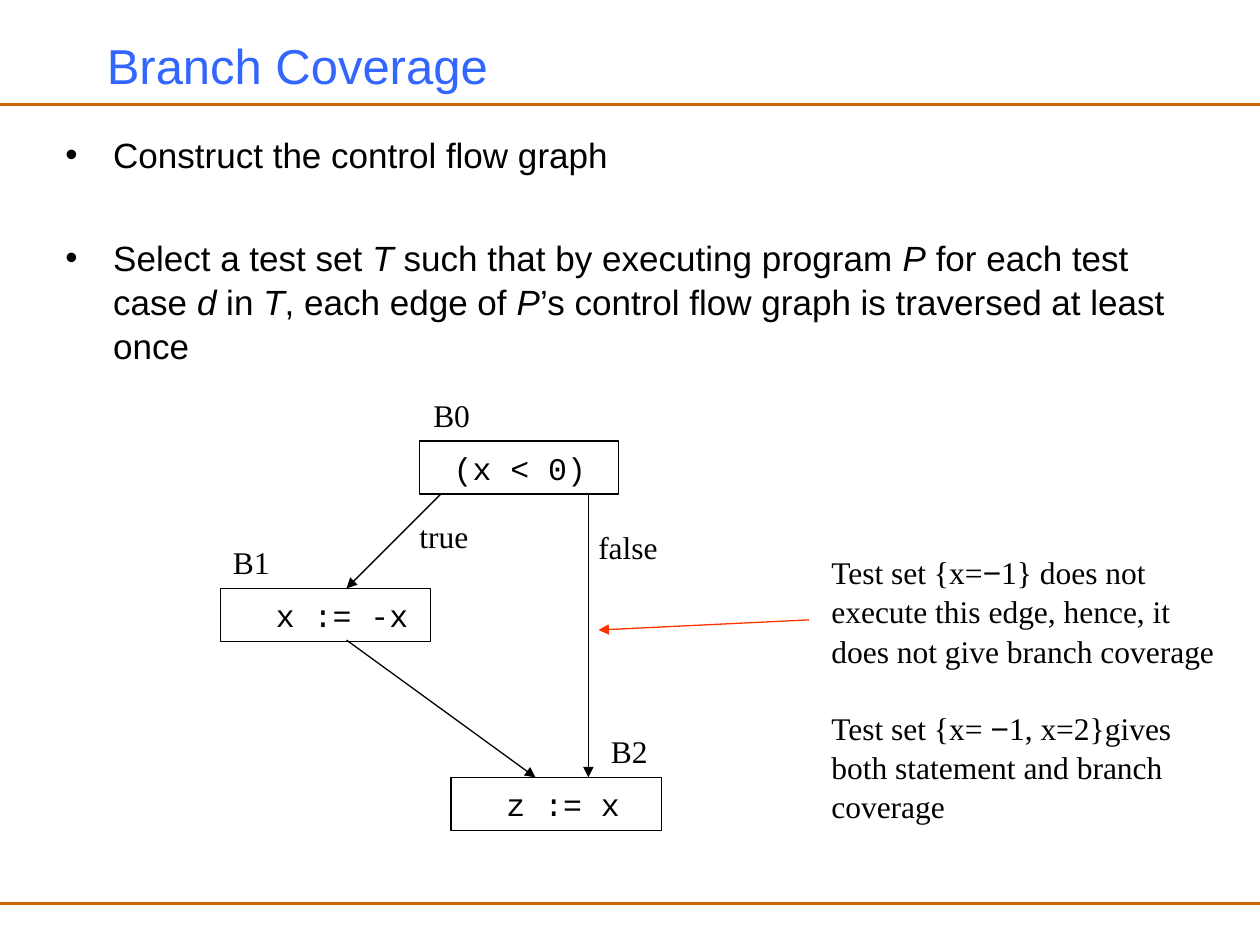
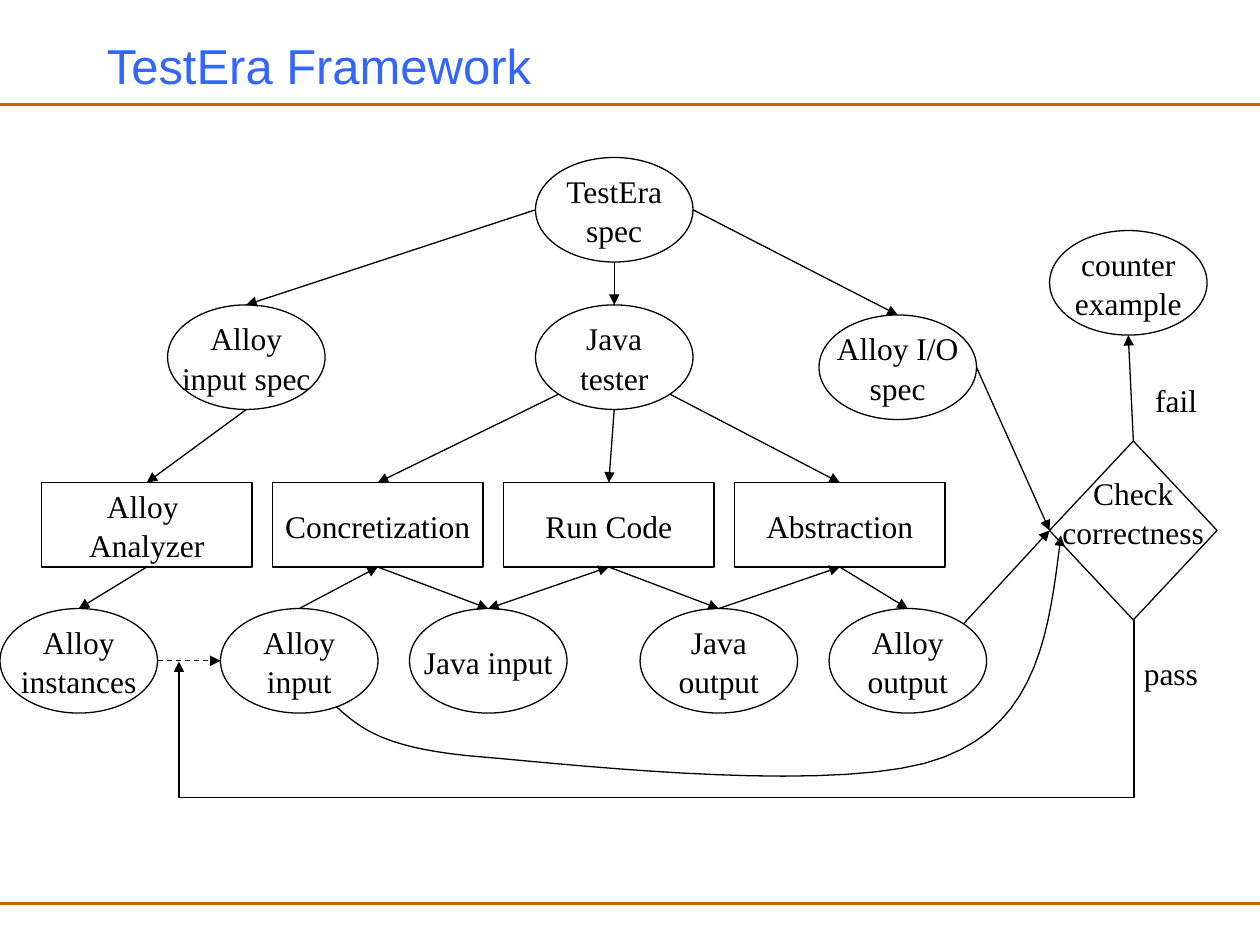
import math

import lxml.etree
import pptx
import pptx.dml.color
import pptx.enum.dml
import pptx.enum.shapes
import pptx.enum.text
import pptx.oxml.ns
import pptx.util

Inches, Pt = pptx.util.Inches, pptx.util.Pt
KIND = pptx.enum.shapes.MSO_SHAPE
ALIGN = pptx.enum.text.PP_ALIGN
ANCHOR = pptx.enum.text.MSO_ANCHOR
COLORS = {"rule": "CC6600", "title": "3366FF", "ink": "000000", "alert": "FF3300"}
SANS, SERIF, MONO = "Arial", "Times New Roman", "Courier New"


def color(name):
    return pptx.dml.color.RGBColor.from_string(COLORS[name])


def add_tag(parent, name, **attrs):
    return lxml.etree.SubElement(parent, pptx.oxml.ns.qn(name), **attrs)


def put_text(shape, text, font=SERIF, size=18, ink="ink", align=ALIGN.LEFT,
             anchor=ANCHOR.TOP, wrap=False, left=0.1, right=0.1, bottom=0.05,
             alt_font=None, italic=None, bullet=False, gaps=None):
    """Write one paragraph per line; pieces between asterisks take the other format."""
    frame = shape.text_frame
    frame.word_wrap, frame.vertical_anchor = wrap, anchor
    frame.margin_left, frame.margin_right = Inches(left), Inches(right)
    frame.margin_top, frame.margin_bottom = Inches(0.05), Inches(bottom)
    for row, line in enumerate(text.split("\n")):
        para = frame.add_paragraph() if row else frame.paragraphs[0]
        para.alignment, para.line_spacing = align, 1.04
        para.space_before = Pt((gaps or {}).get(row, 0))
        if bullet:
            props = para._p.get_or_add_pPr()
            indent = Inches(0.38)
            props.set("marL", str(indent))
            props.set("indent", str(-indent))
            add_tag(props, "a:buFont", typeface=SANS)
            add_tag(props, "a:buChar", char="•")
        for part, piece in enumerate(line.split("*")):
            if not piece:
                continue
            run = para.add_run()
            run.text = piece
            other = part % 2 == 1
            run.font.name = alt_font if other and alt_font else font
            run.font.size = Pt(size)
            run.font.color.rgb = color(ink)
            if italic and other:
                run.font.italic = True
    return shape


def add_label(slide, x, y, w, h, text, **style):
    box = slide.shapes.add_textbox(Inches(x), Inches(y), Inches(w), Inches(h))
    return put_text(box, text, **style)


def outline(shape, ink="ink", width=0.75):
    shape.shadow.inherit = False
    shape.fill.background()
    shape.line.color.rgb = color(ink)
    shape.line.width = Pt(width)
    return shape


def add_node(slide, kind, x, y, w, h, text, **style):
    node = slide.shapes.add_shape(kind, Inches(x), Inches(y), Inches(w), Inches(h))
    look = {"align": ALIGN.CENTER, "anchor": ANCHOR.MIDDLE, **style}
    return put_text(outline(node), text, **look)


def add_heads(shape, *ends):
    line = shape.line._get_or_add_ln()
    for end in ends:
        add_tag(line, "a:" + end, type="triangle")


def add_line(slide, start, end, ink="ink", width=0.75, heads=(), dash=False):
    line = slide.shapes.add_connector(
        pptx.enum.shapes.MSO_CONNECTOR.STRAIGHT,
        *(Inches(v) for v in (*start, *end)))
    line.line.color.rgb = color(ink)
    line.line.width = Pt(width)
    if dash:
        line.line.dash_style = pptx.enum.dml.MSO_LINE.DASH
    add_heads(line, *heads)
    add_tag(line._element.spPr, "a:effectLst")
    return line


def is_oval(node):
    return node.auto_shape_type == KIND.OVAL


def find_site(node, site):
    """Sites run anticlockwise from the top: eight on an oval, four elsewhere."""
    turn = math.tau * site / (8 if is_oval(node) else 4)
    x = node.left + node.width / 2 * (1 - math.sin(turn))
    y = node.top + node.height / 2 * (1 - math.cos(turn))
    return x / Inches(1), y / Inches(1)


def add_link(slide, start, end, heads=("tailEnd",), dash=False):
    line = add_line(slide, find_site(*start), find_site(*end), heads=heads, dash=dash)
    if not is_oval(start[0]):
        line.begin_connect(*start)
    if not is_oval(end[0]):
        line.end_connect(*end)


def add_trace(slide, points):
    first, *rest = [(Inches(x), Inches(y)) for x, y in points]
    pen = slide.shapes.build_freeform(*first)
    pen.add_line_segments(rest, close=False)
    add_heads(outline(pen.convert_to_shape()), "tailEnd")


def bend(points, steps=16):
    """Sample a chain of cubic curves: a start, then three points for each curve."""
    result = [points[0]]
    for i in range(0, len(points) - 1, 3):
        for step in range(1, steps + 1):
            t = step / steps
            parts = (1 - t) ** 3, 3 * t * (1 - t) ** 2, 3 * t * t * (1 - t), t ** 3
            result.append(tuple(sum(k * p[axis] for k, p in zip(parts, points[i:i + 4]))
                                for axis in (0, 1)))
    return result


def add_page(deck, title):
    slide = deck.slides.add_slide(deck.slide_layouts[6])
    for y in (0.83, 7.17):
        add_line(slide, (0, y), (10, y), ink="rule", width=2)
    add_label(slide, 0.75, 0.17, 8.5, 0.67, title, font=SANS, size=28, ink="title",
              anchor=ANCHOR.MIDDLE, wrap=True)
    return slide


def draw_flow(slide, x, y):
    """Control flow graph, with its top left corner at x, y."""
    # Blocks and their names
    for left, top, w, inset, code, shift, name in (
            (1.58, 0.42, 1.58, 0.27, "(x < 0)", 0.01, "B0"),
            (0, 1.59, 1.67, 0.44, "x := -x", 0, "B1"),
            (1.83, 3.09, 1.67, 0.44, "z := x", 1.17, "B2")):
        add_node(slide, KIND.RECTANGLE, x + left, y + top, w, 0.42, code, font=MONO,
                 align=ALIGN.LEFT, anchor=ANCHOR.TOP, wrap=True, left=inset, right=0)
        add_label(slide, x + left + shift, y + top - 0.42, 0.49, 0.4, name)
    # Edges
    for x1, y1, x2, y2, ink in ((1.75, 0.84, 1, 1.59, "ink"), (1, 2, 2.5, 3.09, "ink"),
                                (2.92, 0.84, 2.92, 3.09, "ink"),
                                (4.67, 1.84, 3, 1.92, "alert")):
        add_line(slide, (x + x1, y + y1), (x + x2, y + y2), ink=ink, heads=["tailEnd"])
    add_label(slide, x + 1.48, y + 0.96, 0.59, 0.4, "true")
    add_label(slide, x + 2.9, y + 1.05, 0.67, 0.4, "false")


def draw_tree(slide, x, y):
    """Framework diagram, with its top left corner at x, y."""
    def oval(left, top, text):
        return add_node(slide, KIND.OVAL, x + left, y + top, 1.25, 0.83, text)

    # Specifications
    spec = oval(4.25, 0, "TestEra\nspec")
    inspec = oval(1.33, 1.17, "Alloy\ninput spec")
    tester = oval(4.25, 1.17, "Java\ntester")
    iospec = oval(6.5, 1.25, "Alloy I/O\nspec")
    # Steps
    names = "Alloy \nAnalyzer", "Concretization", "Run Code", "Abstraction"
    solver, concrete, runner, abstract = [
        add_node(slide, KIND.RECTANGLE, x + 0.33 + i * 11 / 6, y + 2.58, 1.67, 0.67, name)
        for i, name in enumerate(names)]
    # Data
    found, alloy_in, java_in, java_out, alloy_out = [
        oval(left, 3.58, text) for left, text in (
            (0, "Alloy\ninstances"), (1.75, "Alloy\ninput"), (3.25, "Java input"),
            (5.08, "Java\noutput"), (6.58, "Alloy\noutput"))]
    # Verdict
    counter = oval(8.33, 0.58, "counter\nexample")
    check = add_node(slide, KIND.DIAMOND, x + 8.33, y + 2.25, 1.33, 1.42,
                     "Check\ncorrectness", bottom=0.35)
    add_label(slide, x + 9.07, y + 1.71, 0.53, 0.4, "fail")
    add_label(slide, x + 8.98, y + 3.88, 0.63, 0.4, "pass")

    # Links
    for start, first, end, last in (
            (spec, 2, inspec, 0), (spec, 4, tester, 0), (spec, 6, iospec, 0),
            (inspec, 4, solver, 0), (solver, 2, found, 0),
            (tester, 3, concrete, 0), (tester, 4, runner, 0), (tester, 5, abstract, 0),
            (alloy_in, 0, concrete, 2), (concrete, 2, java_in, 0),
            (runner, 2, java_out, 0), (java_out, 0, abstract, 2),
            (abstract, 2, alloy_out, 0), (iospec, 6, check, 1),
            (alloy_out, 7, check, 1), (check, 0, counter, 4)):
        add_link(slide, (start, first), (end, last))
    add_link(slide, (java_in, 0), (runner, 2), heads=("headEnd", "tailEnd"))
    add_link(slide, (found, 6), (alloy_in, 2), dash=True)

    # Return paths
    loop = (9, 3.67), (9, 5.08), (1.42, 5.08), (1.42, 4)
    curve = bend([(2.67, 4.36), (2.86, 4.53), (3.05, 4.7), (3.85, 4.76), (4.65, 4.83),
                  (6.73, 5.06), (7.49, 4.76), (8.25, 4.47), (8.33, 3.73), (8.42, 3)])
    for points in (loop, curve):
        add_trace(slide, [(x + px, y + py) for px, py in points])


def main():
    deck = pptx.Presentation()
    deck.slide_width, deck.slide_height = Inches(10), Inches(7.5)

    page = add_page(deck, "Branch Coverage")
    add_label(page, 0.42, 1, 8.99, 2.16,
              "Construct the control flow graph\n"
              "Select a test set *T* such that by executing program* P* for each test "
              "case *d* in *T*, each edge of *P*’s control flow graph is traversed "
              "at least once",
              font=SANS, size=20, wrap=True, italic=True, bullet=True, gaps={1: 34})
    draw_flow(page, 1.75, 3.08)
    add_label(page, 6.5, 4.33, 3.24, 2.2,
              "Test set {x=*−*1} does not\nexecute this edge, hence, it\n"
              "does not give branch coverage\nTest set {x= *−*1, x=2}gives\n"
              "both statement and branch\ncoverage", alt_font=SANS, gaps={3: 21.5})

    page = add_page(deck, "TestEra Framework")
    draw_tree(page, 0, 1.25)
    deck.save("out.pptx")


if __name__ == "__main__":
    main()
